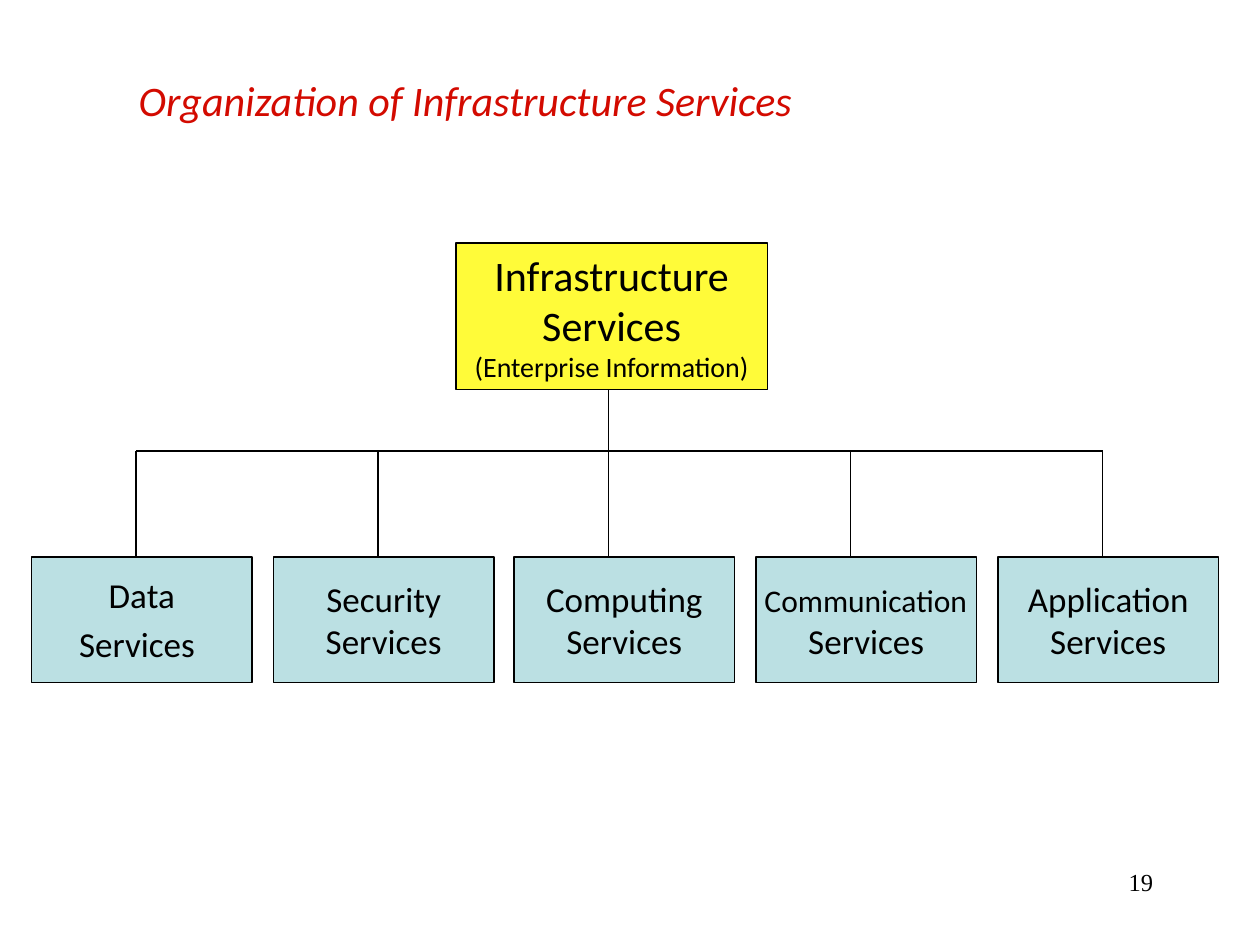
"""Build the organization chart slide for infrastructure services."""
from dataclasses import dataclass

import pptx
import pptx.dml.color
import pptx.enum.shapes
import pptx.enum.text
import pptx.oxml.ns
import pptx.util
from lxml import etree
from pptx.util import Inches


@dataclass(frozen=True)
class Theme:
    font: str = "Calibri"
    number_font: str = "Times New Roman"
    title_color: str = "D30A00"
    ink: str = "000000"
    root_fill: str = "FFFB39"
    service_fill: str = "BBE0E3"
    heading: int = 24
    body: int = 20
    compact: int = 18
    note: int = 16
    number: int = 14
    line: float = 0.75


theme = Theme()
color = pptx.dml.color.RGBColor.from_string
align = pptx.enum.text.PP_ALIGN


def add_box(slide, left, top, width, height, fill, lines):
    """Add a bordered box whose lines are lists of (text, size) runs."""
    shape = slide.shapes.add_shape(
        pptx.enum.shapes.MSO_SHAPE.RECTANGLE,
        Inches(left), Inches(top), Inches(width), Inches(height))
    shape.shadow.inherit = False
    shape.fill.solid()
    shape.fill.fore_color.rgb = color(fill)
    shape.line.color.rgb = color(theme.ink)
    shape.line.width = pptx.util.Pt(theme.line)
    frame = shape.text_frame
    frame.word_wrap = False
    frame.vertical_anchor = pptx.enum.text.MSO_ANCHOR.MIDDLE
    for index, runs in enumerate(lines):
        paragraph = frame.add_paragraph() if index else frame.paragraphs[0]
        paragraph.alignment = align.CENTER
        paragraph.font.name = theme.font
        paragraph.font.color.rgb = color(theme.ink)
        paragraph.font.size = pptx.util.Pt(runs[0][1])
        for text, size in runs:
            run = paragraph.add_run()
            run.text = text
            if size != runs[0][1]:
                run.font.size = pptx.util.Pt(size)


def add_line(slide, start_x, start_y, end_x, end_y):
    """Add a thin straight line."""
    connector = slide.shapes.add_connector(
        pptx.enum.shapes.MSO_CONNECTOR.STRAIGHT,
        Inches(start_x), Inches(start_y), Inches(end_x), Inches(end_y))
    connector.line.color.rgb = color(theme.ink)
    connector.line.width = pptx.util.Pt(theme.line)
    etree.SubElement(connector._element.spPr, pptx.oxml.ns.qn("a:effectLst"))


presentation = pptx.Presentation()
presentation.slide_width = Inches(10)
presentation.slide_height = Inches(7.5)
slide = presentation.slides.add_slide(presentation.slide_layouts[5])

title = slide.shapes.title
title.left, title.top = Inches(1), Inches(0.5)
title.width, title.height = Inches(8.5), Inches(0.58)
title.text_frame.text = "Organization of Infrastructure Services"
title.text_frame.vertical_anchor = pptx.enum.text.MSO_ANCHOR.MIDDLE
paragraph = title.text_frame.paragraphs[0]
paragraph.alignment = align.LEFT
paragraph.font.name = theme.font
paragraph.font.size = pptx.util.Pt(theme.heading)
paragraph.font.italic = True
paragraph.font.color.rgb = color(theme.title_color)

add_box(slide, 3.62, 1.93, 2.47, 1.16, theme.root_fill, [
    [("Infrastructure", theme.heading)],
    [("Services", theme.heading)],
    [("(Enterprise Information)", theme.note)],
])

services_line = [("Services", theme.body)]
services = [
    [[("Data", theme.body)], services_line + [(" ", theme.heading)]],
    [[("Security", theme.body)], services_line],
    [[("Computing", theme.body)], services_line],
    [[(" Communication", theme.compact), (" ", theme.body)], services_line],
    [[("Application", theme.body)], services_line],
]
first_left, pitch, service_top = 0.25, 1.917, 4.42
for index, lines in enumerate(services):
    left = round(first_left + index * pitch, 2)
    add_box(slide, left, service_top, 1.75, 1, theme.service_fill, lines)

bus_y, root_bottom, trunk_x = 3.58, 3.09, 4.83
branches = [1.08, 3, 6.75, 8.75]
add_line(slide, branches[0], bus_y, branches[-1], bus_y)
add_line(slide, trunk_x, root_bottom, trunk_x, service_top)
for branch_x in branches:
    add_line(slide, branch_x, bus_y, branch_x, service_top)

number_box = slide.shapes.add_textbox(
    Inches(7.17), Inches(6.83), Inches(2.08), Inches(0.5))
number_box.text_frame.word_wrap = True
paragraph = number_box.text_frame.paragraphs[0]
paragraph.text = "19"
paragraph.alignment = align.RIGHT
paragraph.font.name = theme.number_font
paragraph.font.size = pptx.util.Pt(theme.number)
paragraph.font.color.rgb = color(theme.ink)

presentation.save("out.pptx")
